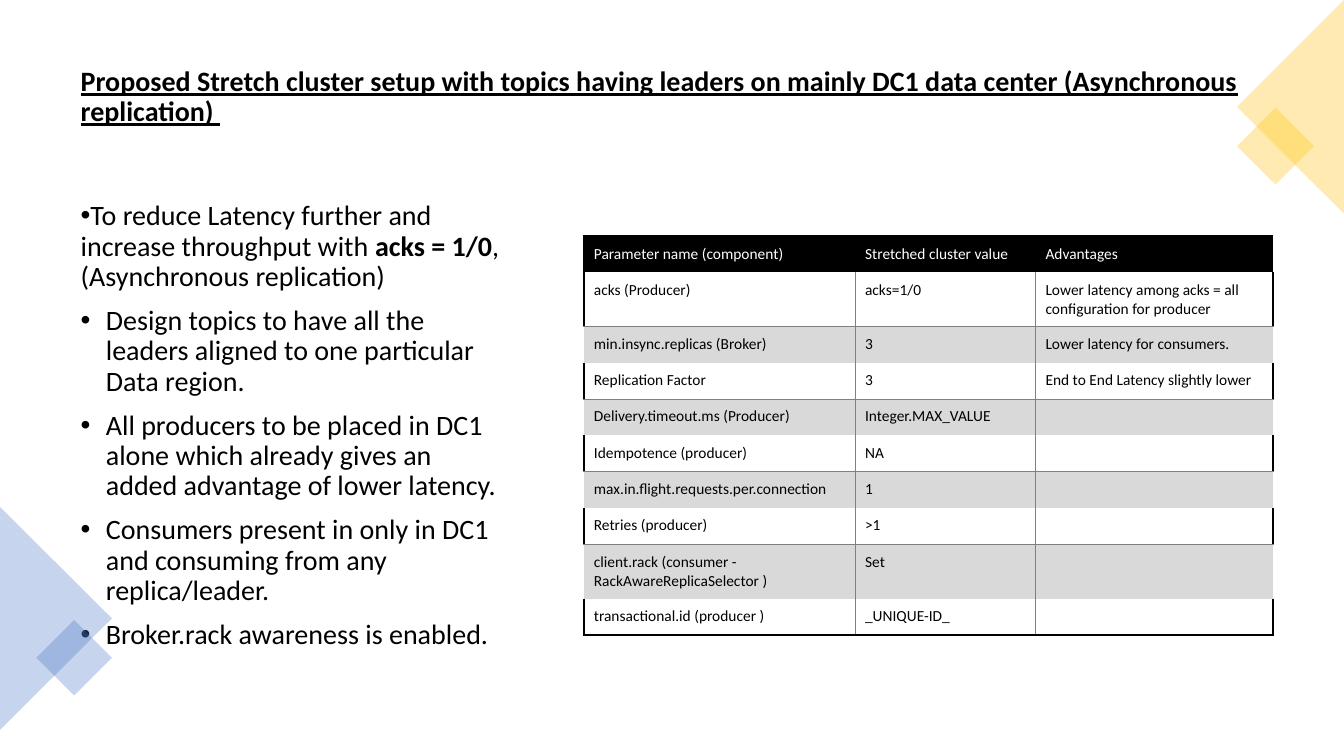
from dataclasses import dataclass

from lxml.etree import SubElement
from pptx import Presentation
from pptx.dml.color import RGBColor
from pptx.enum.shapes import MSO_SHAPE
from pptx.enum.text import MSO_ANCHOR, MSO_AUTO_SIZE, PP_ALIGN
from pptx.oxml.ns import qn
from pptx.slide import Slide
from pptx.table import _Cell
from pptx.text.text import _Paragraph, _Run
from pptx.util import Inches, Pt

BLACK = RGBColor(0x00, 0x00, 0x00)
WHITE = RGBColor(0xFF, 0xFF, 0xFF)
BAND_GRAY = RGBColor(0xD9, 0xD9, 0xD9)
LINE_GRAY = RGBColor(0x80, 0x80, 0x80)
BLUE = RGBColor(0x44, 0x72, 0xC4)
GOLD = RGBColor(0xFF, 0xC0, 0x00)
FONT = "Calibri"
HEADING = ("Proposed Stretch cluster setup with topics having leaders on mainly "
           "DC1 data center (Asynchronous replication) ")


@dataclass(frozen=True)
class Decoration:
    kind: MSO_SHAPE
    left: float
    top: float
    width: float
    height: float
    rotation: int
    color: RGBColor


@dataclass(frozen=True)
class Point:
    """A bullet whose phrases alternate between plain and bold."""
    phrases: tuple[str, ...]
    margin: float = 0.25


@dataclass(frozen=True)
class Border:
    color: RGBColor
    width: float


FRAME = Border(BLACK, 1.5)
GRID = Border(LINE_GRAY, 0.5)

DECORATIONS = (
    Decoration(MSO_SHAPE.ISOSCELES_TRIANGLE, -0.55, 5.58, 2.21, 1.11, 90, BLUE),
    Decoration(MSO_SHAPE.RECTANGLE, 0.47, 6.26, 0.53, 0.53, 45, BLUE),
    Decoration(MSO_SHAPE.RECTANGLE, 12.38, 1.18, 0.54, 0.54, 45, GOLD),
    Decoration(MSO_SHAPE.ISOSCELES_TRIANGLE, 11.74, 0.53, 2.12, 1.06, 270, GOLD),
)
POINTS = (
    Point(("To reduce Latency further and increase throughput with ", "acks = 1/0",
           ", (Asynchronous replication)"), margin=0),
    Point(("Design topics to have all the leaders aligned to one particular Data region.",)),
    Point(("All producers to be placed in DC1 alone which already gives an added "
           "advantage of lower latency.",)),
    Point(("Consumers present in only in DC1 and consuming from any replica/leader.",)),
    Point(("Broker.rack awareness is enabled.",)),
)
COLUMN_WIDTHS = (2.69, 1.79, 2.36)
ROW_HEIGHT, TALL_ROW_HEIGHT = 0.36, 0.54
TALL_ROWS = (1, 8)
PARAMETERS = (
    ("Parameter name (component)", "Stretched cluster value", "Advantages"),
    ("acks (Producer)", "acks=1/0", "Lower latency among acks = all configuration for producer"),
    ("min.insync.replicas (Broker)", "3", "Lower latency for consumers."),
    ("Replication Factor", "3", "End to End Latency slightly lower"),
    ("Delivery.timeout.ms (Producer)", "Integer.MAX_VALUE", ""),
    ("Idempotence (producer)", "NA", ""),
    ("max.in.flight.requests.per.connection", "1", ""),
    ("Retries (producer)", ">1", ""),
    ("client.rack (consumer - RackAwareReplicaSelector )", "Set", ""),
    ("transactional.id (producer )", "_UNIQUE-ID_", ""),
)


def format_run(run: _Run, size: float, color: RGBColor = BLACK, bold: bool = False) -> None:
    run.font.name = FONT
    run.font.size = Pt(size)
    run.font.color.rgb = color
    run.font.bold = bold


def add_heading(slide: Slide) -> None:
    title = slide.shapes.title
    title.left, title.top = Inches(0.7), Inches(0.35)
    title.width, title.height = Inches(11.93), Inches(1.24)
    frame = title.text_frame
    frame.text = HEADING
    frame.auto_size = MSO_AUTO_SIZE.NONE
    frame.vertical_anchor = MSO_ANCHOR.MIDDLE
    paragraph = frame.paragraphs[0]
    paragraph.alignment = PP_ALIGN.LEFT
    paragraph.line_spacing = 0.9
    format_run(paragraph.runs[0], 20, bold=True)
    paragraph.runs[0].font.underline = True


def set_bullet(paragraph: _Paragraph, margin: float) -> None:
    properties = paragraph._p.get_or_add_pPr()
    properties.set("marL", str(Inches(margin)))
    properties.set("indent", str(Inches(-0.25)))
    SubElement(properties, qn("a:buFont"), typeface="Arial")
    SubElement(properties, qn("a:buChar"), char="•")


def add_points(slide: Slide) -> None:
    body = slide.placeholders[1]
    body.left, body.top = Inches(0.7), Inches(1.95)
    body.width, body.height = Inches(4.38), Inches(4.81)
    frame = body.text_frame
    frame.auto_size = MSO_AUTO_SIZE.NONE
    for index, point in enumerate(POINTS):
        paragraph = frame.add_paragraph() if index else frame.paragraphs[0]
        paragraph.line_spacing = 0.9
        paragraph.space_before = Pt(10)
        set_bullet(paragraph, point.margin)
        for position, phrase in enumerate(point.phrases):
            run = paragraph.add_run()
            run.text = phrase
            format_run(run, 20, bold=position % 2 == 1)


def add_decoration(slide: Slide, item: Decoration) -> None:
    shape = slide.shapes.add_shape(item.kind, Inches(item.left), Inches(item.top),
                                   Inches(item.width), Inches(item.height))
    shape.rotation = item.rotation
    shape.shadow.inherit = False
    shape.line.fill.background()
    shape.fill.solid()
    shape.fill.fore_color.rgb = item.color
    color = shape._element.spPr.find(qn("a:solidFill"))[0]
    SubElement(color, qn("a:alpha"), val="30000")


def set_borders(cell: _Cell, row: int, column: int) -> None:
    """Frame the plain rows in black, rule the inside in gray, leave other edges bare."""
    last_row, last_column = len(PARAMETERS) - 1, len(COLUMN_WIDTHS) - 1
    is_plain = row % 2 == 1
    inner = GRID if row else None
    side = FRAME if is_plain else None
    top = FRAME if row == 0 else None if is_plain else GRID
    bottom = FRAME if row == last_row else GRID if is_plain else None
    borders = {
        "a:lnL": inner if column else side or (FRAME if row == 0 else None),
        "a:lnR": inner if column < last_column else side,
        "a:lnT": top,
        "a:lnB": bottom,
    }
    properties = cell._tc.get_or_add_tcPr()
    for tag, border in borders.items():
        if border is None:
            SubElement(SubElement(properties, qn(tag), w="0"), qn("a:noFill"))
        else:
            line = SubElement(properties, qn(tag), w=str(Pt(border.width)))
            SubElement(SubElement(line, qn("a:solidFill")), qn("a:srgbClr"),
                       val=str(border.color))


def fill_cell(cell: _Cell, text: str, row: int, column: int) -> None:
    cell.margin_left = Inches(0.1)
    cell.margin_right = cell.margin_top = cell.margin_bottom = Inches(0.08)
    cell.vertical_anchor = MSO_ANCHOR.TOP if row else MSO_ANCHOR.MIDDLE
    cell.text_frame.text = text
    paragraph = cell.text_frame.paragraphs[0]
    for run in paragraph.runs:
        format_run(run, 11, BLACK if row else WHITE)
    if not text:
        SubElement(paragraph._p, qn("a:endParaRPr"), sz="1100")
    set_borders(cell, row, column)
    if row % 2:
        cell.fill.background()
    else:
        cell.fill.solid()
        cell.fill.fore_color.rgb = BAND_GRAY if row else BLACK


def add_parameter_table(slide: Slide) -> None:
    heights = [TALL_ROW_HEIGHT if row in TALL_ROWS else ROW_HEIGHT
               for row in range(len(PARAMETERS))]
    table = slide.shapes.add_table(
        len(PARAMETERS), len(COLUMN_WIDTHS), Inches(5.79), Inches(2.34),
        Inches(sum(COLUMN_WIDTHS)), Inches(sum(heights))).table
    table.first_row = table.horz_banding = False
    for column, width in enumerate(COLUMN_WIDTHS):
        table.columns[column].width = Inches(width)
    for row, values in enumerate(PARAMETERS):
        table.rows[row].height = Inches(heights[row])
        for column, text in enumerate(values):
            fill_cell(table.cell(row, column), text, row, column)


def main() -> None:
    presentation = Presentation()
    presentation.slide_width, presentation.slide_height = Inches(13.33), Inches(7.5)
    slide = presentation.slides.add_slide(presentation.slide_layouts[1])
    add_heading(slide)
    add_points(slide)
    for item in DECORATIONS:
        add_decoration(slide, item)
    add_parameter_table(slide)
    presentation.save("out.pptx")


if __name__ == "__main__":
    main()
